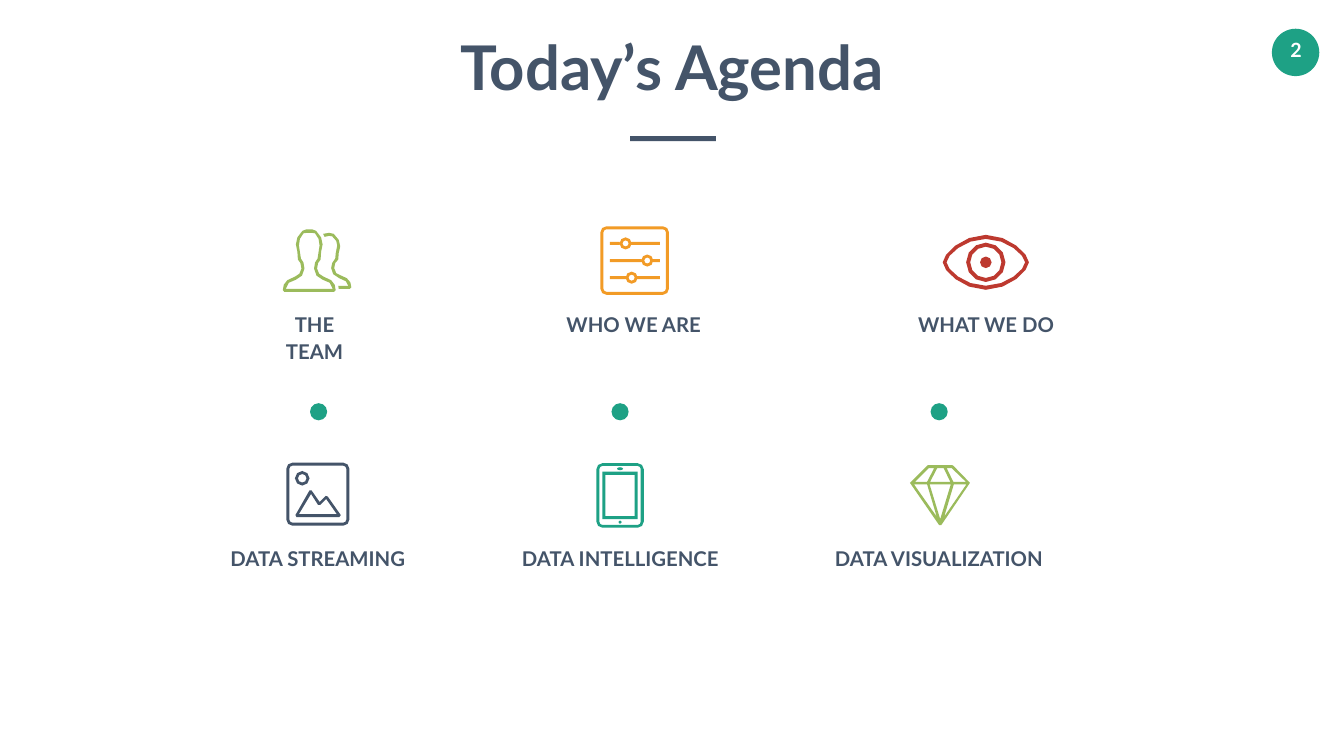
import pptx
import pptx.dml.color
import pptx.enum.shapes
import pptx.enum.text
import pptx.util

INK = {"slate": "445469", "teal": "1EA185", "green": "9BBB5C",
       "orange": "F29B26", "red": "BD392F", "white": "FFFFFF"}
COLS, ROWS = 26.66, 15  # one grid cell is one inch
KIND = pptx.enum.shapes.MSO_SHAPE


def tint(name):
    return pptx.dml.color.RGBColor.from_string(INK[name])


def bend(steps, k):
    """Points of a quarter curve from (1, 0) to (0, 1)."""
    arc = []
    for step in range(steps + 1):
        t = step / steps
        s = 1 - t
        arc.append((s**3 + 3 * s * s * t + 3 * s * t * t * 0.55,
                    3 * s * s * t * k + 3 * s * t * t + t**3))
    return arc


def loop(x, y, w, h, r=None, k=0.55):
    """Closed outline centred on x, y: an oval, a box with corner radius r, or a lens for small k."""
    rx, ry = (w / 2, h / 2) if r is None else (r, r)
    steps = 4 if ry > 40 else 3 if ry > 20 else 2
    arc = bend(steps, k) if ry else [(0, 0)]
    dots = []
    for i, (sx, sy) in enumerate([(1, 1), (-1, 1), (-1, -1), (1, -1)]):
        turn = arc[::-1] if i % 2 else arc
        for u, v in turn[:-1] if r is None else turn:
            dots.append((x + sx * (w / 2 - rx + rx * u), y + sy * (h / 2 - ry + ry * v)))
    return dots


def twin(half, axis):
    """Close a right-hand half outline with its mirror image."""
    return half + [(2 * axis - x, y) for x, y in reversed(half)]


# Icon outlines are in hundredths of a cell; nested outlines cut holes.
def team():
    outer = [(58, 0), (66, 3), (76, 16), (79, 30), (76, 45), (75, 60), (70, 67), (68, 78),
             (72, 88), (81, 94), (96, 101), (103, 110), (105, 121), (102, 124)]
    inner = [(57, 7), (64, 8), (71, 19), (73, 32), (71, 45), (69, 58), (64, 66),
             (62, 78), (67, 92), (79, 100), (93, 106), (99, 118)]
    back = [(80, 9), (92, 7), (101, 9), (111, 21), (114, 34), (111, 47), (110, 60),
            (104, 67), (102, 77), (106, 87), (114, 91), (127, 97), (134, 105), (136, 115),
            (133, 118), (111, 118), (110, 112), (130, 112), (125, 103), (112, 97), (100, 89),
            (96, 77), (98, 67), (104, 58), (105, 48), (108, 32), (106, 23),
            (98, 14), (92, 13), (83, 15)]
    return [twin(outer, 52.5), twin(inner, 52.5), back]


def panel():
    loops = [loop(68, 68, 136, 136, 12), loop(68, 68, 124, 124, 6)]
    for row, knob in enumerate([50, 93, 62], 1):
        y = 34 * row
        loops += [loop(knob, y, 24, 24), loop(knob, y, 12, 12)]
        for a, b in [(19, knob - 11.6), (knob + 11.6, 118)]:
            loops.append(loop((a + b) / 2, y, b - a, 6, 0))
    return loops


def eye():
    lids = [loop(85.5, 54.5, w, h, k=0.29) for w, h in [(171, 109), (156, 93)]]
    return lids + [loop(85.5, 54.5, d, d) for d in (78, 62, 23)]


def photo():
    hills = [(18, 104), (46, 55), (50, 55), (66, 78), (78, 66), (82, 67), (108, 104),
             (105, 108), (20, 108)]
    sky = [(25, 102), (49, 62), (63, 84), (67, 84), (79, 72), (100, 102)]
    return [loop(62.5, 62.5, 125, 125, 12), loop(62.5, 62.5, 113, 113, 6),
            loop(31.5, 31, 29, 29), loop(31.5, 31, 17, 17), hills, sky]


def tablet():
    return [loop(47, 64, 94, 128, 12), loop(47, 64, 82, 117, 6),
            loop(47, 64, 70, 94, 0), loop(47, 64, 58, 82, 0),
            loop(47, 11, 12, 6), loop(47, 117, 6, 6)]


def gem():
    return [[(0, 35), (34, 1), (36, 0), (84, 0), (86, 1), (119, 35), (62, 119), (58, 119)],
            [(68, 102), (87, 38), (112, 38)],
            [(60, 107), (39, 38), (81, 38)],
            [(8, 38), (34, 38), (53, 102)],
            [(37, 6), (48, 6), (34, 33), (10, 33)],
            [(67, 6), (80, 33), (40, 33), (54, 6)],
            [(83, 6), (111, 33), (86, 33), (73, 6)]]


class Deck:
    """Holds the style and the current slide; lengths are grid columns and rows."""
    font = "Lato"

    def __init__(self):
        self.show = pptx.Presentation()
        self.show.slide_width = pptx.util.Inches(COLS)
        self.show.slide_height = pptx.util.Inches(ROWS)
        self.page = self.show.slides.add_slide(self.show.slide_layouts[6])

    def paint(self, shape, ink):
        shape.shadow.inherit = False
        shape.fill.solid()
        shape.fill.fore_color.rgb = tint(ink)
        shape.line.fill.background()

    def shape(self, kind, at, ink):
        spot = [pptx.util.Inches(n) for n in at]
        self.paint(self.page.shapes.add_shape(kind, *spot), ink)

    def icon(self, x, y, loops, ink):
        pen = None
        for dots in loops:
            head, *rest = [(px * 10, py * 10) for px, py in dots]
            if pen is None:
                pen = self.page.shapes.build_freeform(*head, scale=914.4)
            else:
                pen.move_to(*head)
            pen.add_line_segments(rest, close=True)
        self.paint(pen.convert_to_shape(pptx.util.Inches(x), pptx.util.Inches(y)), ink)

    def text(self, at, words, size, ink="slate", pad=(0, 0), wrap=False):
        box = self.page.shapes.add_textbox(*[pptx.util.Inches(n) for n in at])
        frame = box.text_frame
        frame.word_wrap = wrap
        frame.auto_size = pptx.enum.text.MSO_AUTO_SIZE.SHAPE_TO_FIT_TEXT
        frame.margin_left = frame.margin_right = pptx.util.Inches(pad[0])
        frame.margin_top = frame.margin_bottom = pptx.util.Inches(pad[1])
        para = frame.paragraphs[0]
        para.alignment = pptx.enum.text.PP_ALIGN.CENTER
        run = para.add_run()
        run.text = words
        run.font.name = self.font
        run.font.size = pptx.util.Pt(size)
        run.font.bold = True
        run.font.color.rgb = tint(ink)
        return para

    def label(self, at, words, wrap=False):
        para = self.text(at, words, 29, wrap=wrap)
        para.line_spacing = pptx.util.Pt(37.3)
        para.space_after = pptx.util.Pt(32)


def main():
    deck = Deck()
    deck.shape(KIND.OVAL, (25.23, 0.57, 0.94, 0.94), "teal")
    deck.text((25.27, 0.66, 0.88, 0.67), "2", 28, "white", (0.2, 0.1))
    deck.text((8.94, 0.53, 8.78, 1.58), "Today’s Agenda", 88, pad=(0.1, 0.05))
    deck.shape(KIND.RECTANGLE, (12.5, 2.7, 1.7, 0.1), "slate")
    for x in (6.15, 12.13, 18.46):
        deck.shape(KIND.OVAL, (x, 8, 0.34, 0.34), "teal")

    # label, its left, top and width, icon, its left and top, colour
    items = [
        ("THE TEAM", 5.24, 6.17, 2, team, 5.61, 4.55, "green"),
        ("WHO WE ARE", 11.22, 6.17, 2.7, panel, 11.91, 4.49, "orange"),
        ("WHAT WE DO", 18.18, 6.17, 2.76, eye, 18.7, 4.66, "red"),
        ("DATA STREAMING", 4.52, 10.81, 3.57, photo, 5.68, 9.18, "slate"),
        ("DATA INTELLIGENCE", 10.3, 10.81, 4.01, tablet, 11.83, 9.19, "teal"),
        ("DATA VISUALIZATION", 16.48, 10.81, 4.29, gem, 18.05, 9.23, "green"),
    ]
    for words, x, y, wide, draw, left, top, ink in items:
        deck.label((x, y, wide, 0.5), words, wrap=draw is team)
        deck.icon(left, top, draw(), ink)
    deck.show.save("out.pptx")


if __name__ == "__main__":
    main()
